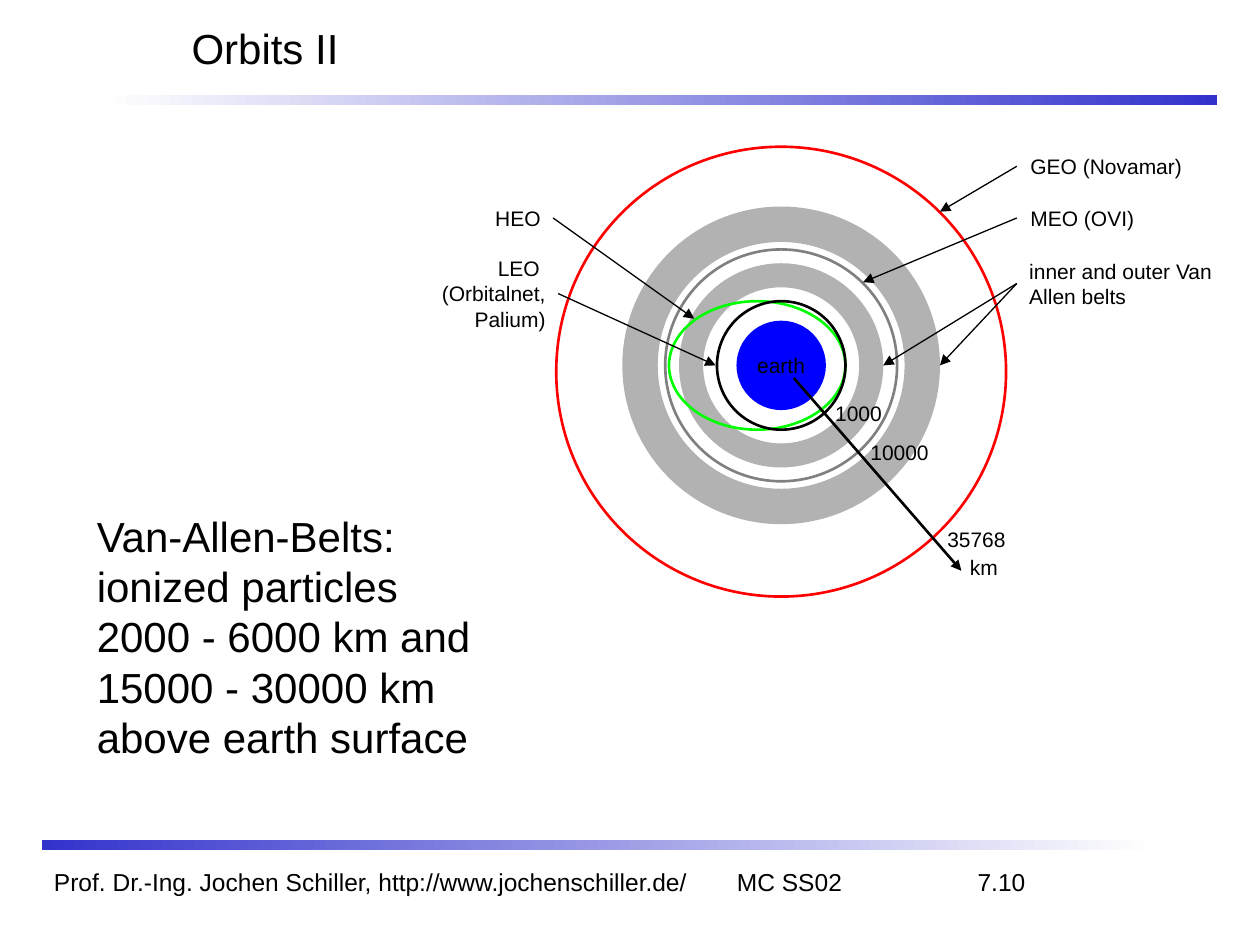
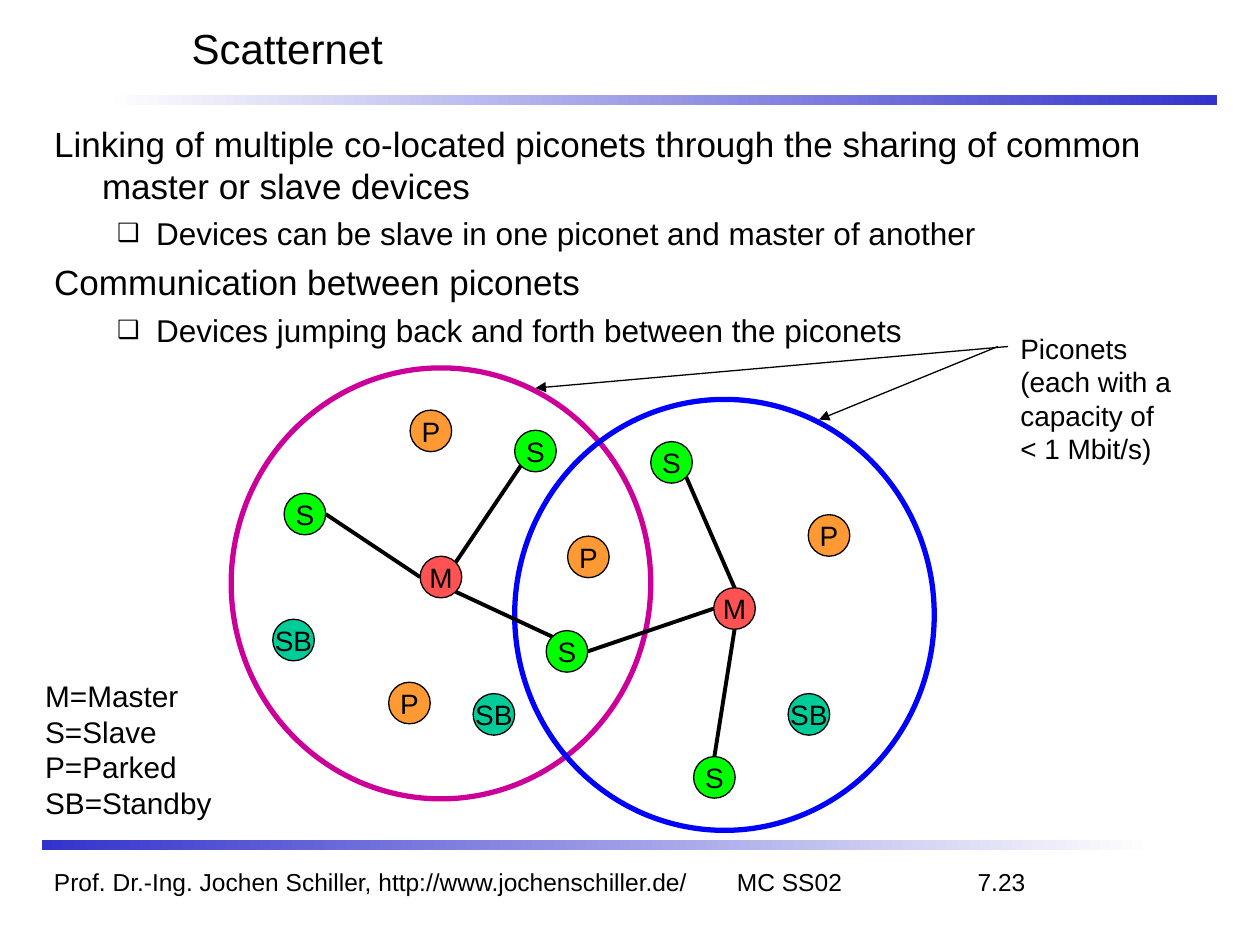
"""Build two mobile communications slides: satellite orbits and a scatternet."""
from dataclasses import dataclass
from math import cos, radians, sin
from typing import NamedTuple, Optional, Sequence

from lxml.etree import SubElement
from pptx import Presentation
from pptx.dml.color import RGBColor
from pptx.enum.shapes import MSO_CONNECTOR, MSO_SHAPE
from pptx.enum.text import MSO_ANCHOR, MSO_AUTO_SIZE, PP_ALIGN
from pptx.oxml.ns import qn
from pptx.slide import Slide
from pptx.util import Inches, Pt


@dataclass(frozen=True)
class Theme:
    """Colours, font and type sizes of the deck."""
    font: str = "Arial"
    ink: RGBColor = RGBColor(0, 0, 0)
    paper: RGBColor = RGBColor(255, 255, 255)
    band: RGBColor = RGBColor(0x33, 0x33, 0xCC)
    blue: RGBColor = RGBColor(0, 0, 255)
    red: RGBColor = RGBColor(255, 0, 0)
    green: RGBColor = RGBColor(0, 255, 0)
    belt: RGBColor = RGBColor(0xB2, 0xB2, 0xB2)
    grey: RGBColor = RGBColor(0x80, 0x80, 0x80)
    magenta: RGBColor = RGBColor(0xCC, 0, 0x99)
    master: RGBColor = RGBColor(0xFF, 0x53, 0x53)
    parked: RGBColor = RGBColor(0xFF, 0x99, 0x33)
    standby: RGBColor = RGBColor(0, 0xCC, 0x99)
    title: float = 24
    topic: float = 20
    detail: float = 18
    legend: float = 17
    node: float = 16
    footer: float = 14
    label: float = 12
    thin: float = 0.75
    orbit: float = 1.5
    link: float = 2.25
    piconet: float = 3


THEME = Theme()
TITLE_ONLY, TITLE_AND_BODY = 5, 1
NODE_SIZE = 0.33
ROLE_FILLS = {"M": THEME.master, "S": THEME.green, "P": THEME.parked, "SB": THEME.standby}


class Point(NamedTuple):
    """A place on the slide in inches."""
    x: float
    y: float


class Box(NamedTuple):
    """A rectangle on the slide in inches."""
    left: float
    top: float
    width: float
    height: float


@dataclass(frozen=True)
class Ellipse:
    """An ellipse given by its centre and size."""
    centre: Point
    width: float
    height: float
    outline: Optional[RGBColor] = None
    weight: float = 0
    fill: Optional[RGBColor] = None
    text: str = ""
    size: float = THEME.label


@dataclass(frozen=True)
class Label:
    """A free text with room for its longest line."""
    text: str
    box: Box
    size: float = THEME.label
    align: PP_ALIGN = PP_ALIGN.LEFT


@dataclass(frozen=True)
class Line:
    """A straight line, with an arrowhead at its end if wanted."""
    start: Point
    end: Point
    weight: float = THEME.thin
    arrow: bool = True


@dataclass(frozen=True)
class Node:
    """A device of the scatternet."""
    role: str
    centre: Point

    def rim(self, degrees: float) -> Point:
        """Return the point of the rim at an angle counted anticlockwise."""
        radius, angle = NODE_SIZE / 2, radians(degrees)
        return Point(self.centre.x + radius * cos(angle), self.centre.y - radius * sin(angle))


def emu(box: Box) -> list[Inches]:
    """Convert a box to slide lengths."""
    return [Inches(length) for length in box]


def set_type(paragraph, size: float) -> None:
    """Give a paragraph the deck font in one size."""
    paragraph.font.name = THEME.font
    paragraph.font.size = Pt(size)
    paragraph.font.color.rgb = THEME.ink


def draw_ellipse(slide: Slide, ellipse: Ellipse) -> None:
    """Draw an ellipse with its centred text."""
    (x, y), width, height = ellipse.centre, ellipse.width, ellipse.height
    oval = slide.shapes.add_shape(
        MSO_SHAPE.OVAL, *emu(Box(x - width / 2, y - height / 2, width, height)))
    oval.shadow.inherit = False
    if ellipse.fill is None:
        oval.fill.background()
    else:
        oval.fill.solid()
        oval.fill.fore_color.rgb = ellipse.fill
    if ellipse.outline is None:
        oval.line.fill.background()
    else:
        oval.line.color.rgb = ellipse.outline
        oval.line.width = Pt(ellipse.weight)
    if ellipse.text:
        frame = oval.text_frame
        frame.text = ellipse.text
        frame.word_wrap = False
        frame.vertical_anchor = MSO_ANCHOR.MIDDLE
        frame.paragraphs[0].alignment = PP_ALIGN.CENTER
        set_type(frame.paragraphs[0], ellipse.size)


def draw_label(slide: Slide, label: Label) -> None:
    """Draw a label aligned in its box."""
    frame = slide.shapes.add_textbox(*emu(label.box)).text_frame
    frame.word_wrap = True
    frame.auto_size = MSO_AUTO_SIZE.NONE
    frame.text = label.text
    for paragraph in frame.paragraphs:
        paragraph.alignment = label.align
        set_type(paragraph, label.size)


def draw_line(slide: Slide, line: Line) -> None:
    """Draw a line or an arrow."""
    ends = [Inches(length) for length in (*line.start, *line.end)]
    connector = slide.shapes.add_connector(MSO_CONNECTOR.STRAIGHT, *ends)
    connector.line.color.rgb = THEME.ink
    connector.line.width = Pt(line.weight)
    properties = connector._element.spPr
    if line.arrow:
        SubElement(properties.find(qn("a:ln")), qn("a:tailEnd"), type="triangle")
    SubElement(properties, qn("a:effectLst"))


def draw_band(slide: Slide, box: Box, colours: Sequence[RGBColor]) -> None:
    """Draw a bar that fades from left to right."""
    bar = slide.shapes.add_shape(MSO_SHAPE.RECTANGLE, *emu(box))
    bar.shadow.inherit = False
    bar.line.fill.background()
    bar.fill.gradient()
    bar.fill.gradient_angle = 0
    for stop, colour in zip(bar.fill.gradient_stops, colours):
        stop.color.rgb = colour


def draw_footer(slide: Slide, number: str) -> None:
    """Write author, course and slide number on tab stops."""
    frame = slide.shapes.add_textbox(*emu(Box(0.33, 6.83, 8.75, 0.33))).text_frame
    frame.word_wrap = True
    paragraph = frame.paragraphs[0]
    paragraph.text = ("Prof. Dr.-Ing. Jochen Schiller, http://www.jochenschiller.de/"
                      f"\tMC SS02\t{number}")
    stops = SubElement(paragraph._p.get_or_add_pPr(), qn("a:tabLst"))
    for position, align in ((5.42, "l"), (7.71, "r")):
        SubElement(stops, qn("a:tab"), pos=str(Inches(position)), algn=align)
    set_type(paragraph, THEME.footer)


def start_slide(deck, layout: int, title: str, number: str) -> Slide:
    """Add a slide with title, bands and footer."""
    slide = deck.slides.add_slide(deck.slide_layouts[layout])
    draw_band(slide, Box(0.83, 0.75, 8.83, 0.08), (THEME.paper, THEME.band))
    draw_band(slide, Box(0.33, 6.67, 8.83, 0.08), (THEME.band, THEME.paper))
    draw_footer(slide, number)
    heading = slide.shapes.title
    heading.left, heading.top, heading.width, heading.height = emu(Box(1.42, 0, 8.42, 0.75))
    frame = heading.text_frame
    frame.text = title
    frame.auto_size = MSO_AUTO_SIZE.NONE
    frame.vertical_anchor = MSO_ANCHOR.MIDDLE
    frame.paragraphs[0].alignment = PP_ALIGN.LEFT
    set_type(frame.paragraphs[0], THEME.title)
    return slide


def fill_body(slide: Slide, entries: Sequence[tuple[int, str]]) -> None:
    """Fill the body placeholder with topics and bulleted details."""
    body = slide.placeholders[1]
    body.left, body.top, body.width, body.height = emu(Box(0.33, 0.92, 9.33, 5.67))
    frame = body.text_frame
    frame.auto_size = MSO_AUTO_SIZE.NONE
    for index, (level, text) in enumerate(entries):
        paragraph = frame.add_paragraph() if index else frame.paragraphs[0]
        paragraph.text = text
        paragraph.level = level
        margin, hanging, size, gap = (
            (0.81, 0.31, THEME.detail, 4.5) if level else (0.38, 0.38, THEME.topic, 5))
        properties = paragraph._p.get_or_add_pPr()
        properties.set("marL", str(Inches(margin)))
        properties.set("indent", str(-Inches(hanging)))
        if level:
            colour = SubElement(properties, qn("a:buClr"))
            SubElement(colour, qn("a:srgbClr"), val=str(THEME.ink))
            SubElement(properties, qn("a:buSzPct"), val="80000")
            SubElement(properties, qn("a:buChar"), char="❑")
        else:
            SubElement(properties, qn("a:buNone"))
        paragraph.space_before = Pt(gap if index else 0)
        set_type(paragraph, size)


def build_orbits(deck) -> None:
    """Build the slide on satellite orbits and the Van Allen belts."""
    slide = start_slide(deck, TITLE_ONLY, "Orbits II", "7.10")
    earth = Point(6.2, 2.9)
    for ellipse in (
        Ellipse(earth, 2.24, 2.24, THEME.belt, 20.25),
        Ellipse(earth, 1.43, 1.43, THEME.belt, 13.75),
        Ellipse(earth, 0.71, 0.71, fill=THEME.blue, text="earth"),
        Ellipse(Point(6.2, 2.95), 3.57, 3.57, THEME.red, THEME.orbit),
        Ellipse(earth, 1.84, 1.84, THEME.grey, THEME.orbit),
        Ellipse(Point(6.01, 2.9), 1.4, 1.02, THEME.green, THEME.orbit),
        Ellipse(earth, 1.02, 1.02, THEME.ink, THEME.orbit),
    ):
        draw_ellipse(slide, ellipse)
    belts = Point(8.07, 2.25)
    for line in (
        Line(Point(6.3, 3), Point(7.63, 4.53), THEME.orbit),
        Line(Point(4.43, 2.33), Point(5.68, 2.9)),
        Line(Point(4.39, 1.73), Point(5.51, 2.53)),
        Line(belts, Point(7.46, 2.9)),
        Line(belts, Point(7.01, 2.9)),
        Line(Point(8.07, 1.73), Point(6.85, 2.24)),
        Line(Point(8.07, 1.32), Point(7.46, 1.68)),
    ):
        draw_line(slide, line)
    for label in (
        Label("km", Box(7.6, 4.35, 0.6, 0.3)),
        Label("35768", Box(7.42, 4.13, 0.8, 0.3)),
        Label("10000", Box(6.81, 3.44, 0.8, 0.3)),
        Label("1000", Box(6.53, 3.13, 0.8, 0.3)),
        Label("LEO \v(Orbitalnet,\vPalium)", Box(3.13, 1.98, 1.3, 0.7), align=PP_ALIGN.RIGHT),
        Label("HEO", Box(3.59, 1.58, 0.8, 0.3), align=PP_ALIGN.RIGHT),
        Label("inner and outer Van\nAllen belts", Box(8.07, 2, 1.85, 0.5)),
        Label("MEO (OVI)", Box(8.08, 1.58, 1.8, 0.3)),
        Label("GEO (Novamar)", Box(8.08, 1.17, 1.8, 0.3)),
        Label("Van-Allen-Belts:\nionized particles\n2000 - 6000 km and\n"
              "15000 - 30000 km\nabove earth surface", Box(0.67, 4, 3.6, 2.5), THEME.title),
    ):
        draw_label(slide, label)


def build_scatternet(deck) -> None:
    """Build the slide on two piconets that share a slave."""
    slide = start_slide(deck, TITLE_AND_BODY, "Scatternet", "7.23")
    fill_body(slide, (
        (0, "Linking of multiple co-located piconets through the sharing of common "
            "master or slave devices"),
        (1, "Devices can be slave in one piconet and master of another"),
        (0, "Communication between piconets"),
        (1, "Devices jumping back and forth between the piconets"),
    ))
    for centre, colour in ((Point(3.5, 4.63), THEME.magenta), (Point(5.75, 4.88), THEME.blue)):
        draw_ellipse(slide, Ellipse(centre, 3.33, 3.42, colour, THEME.piconet))

    left_master, right_master = Node("M", Point(3.5, 4.58)), Node("M", Point(5.83, 4.83))
    west, north, shared = (Node("S", Point(*at)) for at in ((2.42, 4.08), (4.25, 3.58), (4.5, 5.17)))
    upper, lower = Node("S", Point(5.33, 3.67)), Node("S", Point(5.67, 6.17))
    parked = [Node("P", Point(*at)) for at in ((3.25, 5.58), (3.42, 3.42), (4.67, 4.42), (6.58, 4.25))]
    standby = [Node("SB", Point(*at)) for at in ((2.33, 5.08), (3.92, 5.67), (6.42, 5.67))]
    for node in (left_master, right_master, west, north, shared, upper, lower, *parked, *standby):
        draw_ellipse(slide, Ellipse(node.centre, NODE_SIZE, NODE_SIZE, THEME.ink, THEME.thin,
                                    ROLE_FILLS[node.role], node.role, THEME.node))
    for master, leaving, slave, arriving in (
        (left_master, 180, west, 0), (left_master, 45, north, 225), (left_master, -45, shared, 135),
        (right_master, 90, upper, -45), (right_master, 180, shared, 0), (right_master, -90, lower, 90),
    ):
        draw_line(slide, Line(master.rim(leaving), slave.rim(arriving), THEME.link, arrow=False))

    draw_label(slide, Label("M=Master\nS=Slave\nP=Parked\nSB=Standby",
                            Box(0.26, 5.33, 1.7, 1.24), THEME.legend))
    draw_label(slide, Label("Piconets\n(each with a\ncapacity of\n< 1 Mbit/s)",
                            Box(8, 2.58, 1.7, 1.17), THEME.node))
    draw_line(slide, Line(Point(8, 2.75), Point(4.25, 3.08)))
    draw_line(slide, Line(Point(7.92, 2.75), Point(6.5, 3.33)))


def main() -> None:
    """Build and save the deck."""
    deck = Presentation()
    deck.slide_width, deck.slide_height = Inches(10), Inches(7.5)
    build_orbits(deck)
    build_scatternet(deck)
    deck.save("out.pptx")


if __name__ == "__main__":
    main()
